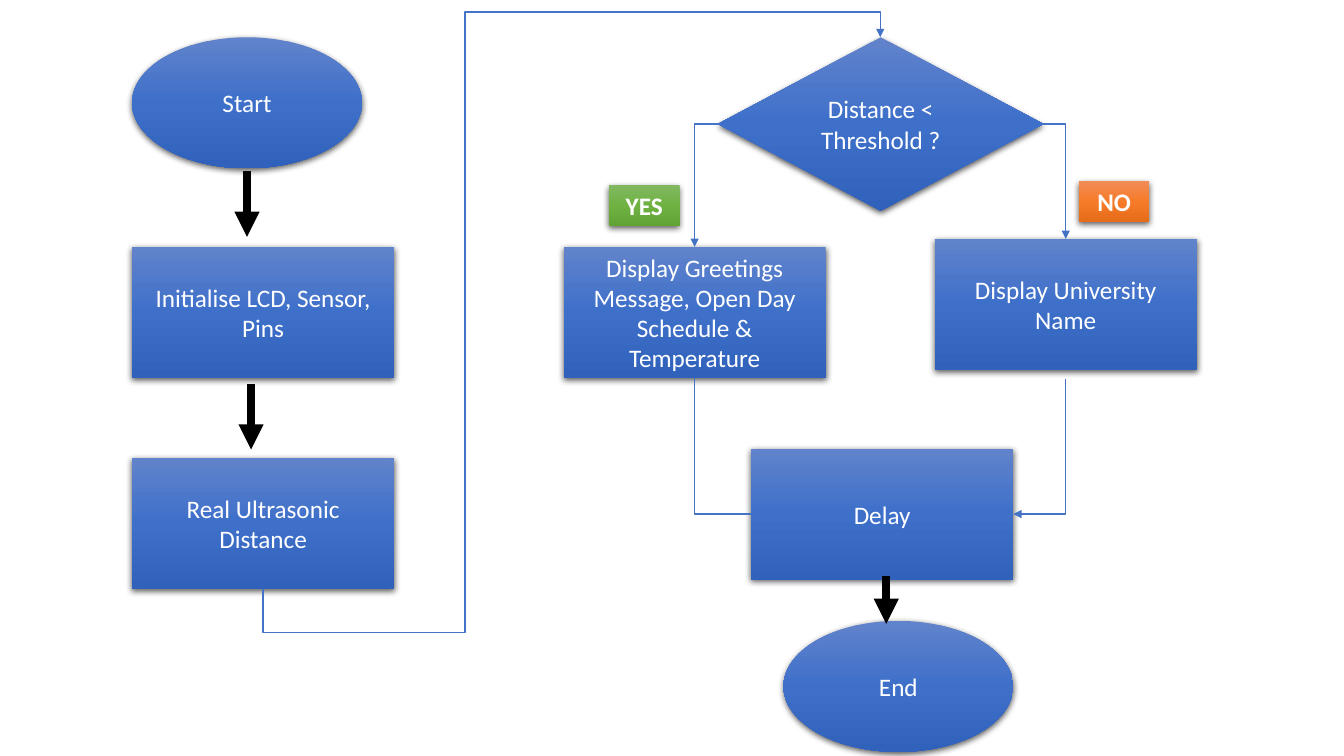
from lxml import etree
from pptx import Presentation
from pptx.dml.color import RGBColor
from pptx.enum.shapes import MSO_CONNECTOR, MSO_SHAPE
from pptx.enum.text import MSO_ANCHOR, MSO_AUTO_SIZE, PP_ALIGN
from pptx.oxml import parse_xml
from pptx.oxml.ns import nsdecls, qn
from pptx.util import Pt

OVAL = MSO_SHAPE.OVAL
STEP = MSO_SHAPE.FLOWCHART_PROCESS
TEST = MSO_SHAPE.FLOWCHART_DECISION
RECT = MSO_SHAPE.RECTANGLE
LINE = MSO_CONNECTOR.STRAIGHT
ELBOW = MSO_CONNECTOR.ELBOW

SCALE = 9144  # EMU in one px, 100 px to the inch
FONT = "Calibri"
WHITE, BLACK, WIRE = "FFFFFF", "000000", "4472C4"
BLUE = ("6183CB", "3E70CA", "3062BB")
GREEN = ("81B861", "6FB242", "62A336")
ORANGE = ("F18C57", "F67B28", "E56C19")
OVAL_SIZE = (228, 130)
STEP_SIZE = (260, 130)
TAG_SIZE = (70, 40)


def px(value):
    return round(value * SCALE)


def rgb(code):
    return RGBColor.from_string(code)


def shade(shape, tones):
    """Fill from top to bottom, with no outline and a soft shadow."""
    stops = "".join(
        f'<a:gs pos="{i * 50000}"><a:srgbClr val="{rgb(tone)}"/></a:gs>'
        for i, tone in enumerate(tones))
    props = shape.element.spPr
    props.append(parse_xml(
        f'<a:gradFill {nsdecls("a")} rotWithShape="1"><a:gsLst>{stops}</a:gsLst>'
        '<a:lin ang="5400000" scaled="0"/></a:gradFill>'))
    shape.line.fill.background()
    props.append(parse_xml(
        f'<a:effectLst {nsdecls("a")}><a:outerShdw blurRad="57150" '
        'dist="19050" dir="5400000" algn="ctr" rotWithShape="0">'
        f'<a:srgbClr val="{rgb(BLACK)}"><a:alpha val="63000"/></a:srgbClr>'
        '</a:outerShdw></a:effectLst>'))


def node(slide, kind, spot, size, text, tones=BLUE, bold=False):
    shape = slide.shapes.add_shape(kind, *map(px, spot + size))
    shade(shape, tones)
    frame = shape.text_frame
    frame.word_wrap = True
    frame.vertical_anchor = MSO_ANCHOR.MIDDLE
    frame.text = text
    para = frame.paragraphs[0]
    para.alignment = PP_ALIGN.CENTER
    font = para.runs[0].font
    font.name, font.size, font.bold = FONT, Pt(18), bold
    font.color.rgb = rgb(WHITE)
    return shape


def tag(slide, spot, text, tones):
    frame = node(slide, RECT, spot, TAG_SIZE, text, tones, True).text_frame
    frame.vertical_anchor = MSO_ANCHOR.TOP
    frame.auto_size = MSO_AUTO_SIZE.SHAPE_TO_FIT_TEXT


def link(slide, kind, start, end, color, width, arrow=True):
    wire = slide.shapes.add_connector(kind, *map(px, start + end))
    wire.line.color.rgb = rgb(color)
    wire.line.width = Pt(width)
    props = wire.element.spPr
    if arrow:
        etree.SubElement(props.find(qn("a:ln")), qn("a:tailEnd"), type="triangle")
    etree.SubElement(props, qn("a:effectLst"))
    return wire


def elbow(slide, start, end, down=False, arrow=True, bends=()):
    """Bent line; with down it leaves its start vertically."""
    if down:
        # A quarter turn about the middle brings these points to start and end
        (x1, y1), (x2, y2) = start, end
        mid_x, mid_y = (x1 + x2) / 2, (y1 + y2) / 2
        half_x, half_y = (x2 - x1) / 2, (y2 - y1) / 2
        start = (mid_x - half_y, mid_y + half_x)
        end = (mid_x + half_y, mid_y - half_x)
    wire = link(slide, ELBOW, start, end, WIRE, 1, arrow)
    props = wire.element.spPr
    if down:
        props.find(qn("a:xfrm")).set("rot", "5400000")
    shape = props.find(qn("a:prstGeom"))
    shape.set("prst", f"bentConnector{len(bends) + 2}")
    guides = shape.find(qn("a:avLst"))
    for i, bend in enumerate(bends, 1):
        etree.SubElement(guides, qn("a:gd"), name=f"adj{i}", fmla=f"val {bend}")


def main():
    deck = Presentation()
    deck.slide_width, deck.slide_height = px(1333), px(750)
    slide = deck.slides.add_slide(deck.slide_layouts[6])

    # Steps
    node(slide, OVAL, (131, 37), OVAL_SIZE, "Start")
    node(slide, TEST, (712, 37), (323, 172), "Distance < Threshold ?")
    for spot, text in (
        ((131, 245), "Initialise LCD, Sensor, Pins"),
        ((131, 454), "Real Ultrasonic Distance"),
        ((559, 245), "Display Greetings Message, Open Day Schedule & Temperature"),
        ((927, 237), "Display University Name"),
        ((745, 445), "Delay"),
    ):
        node(slide, STEP, spot, STEP_SIZE, text)
    node(slide, OVAL, (777, 616), OVAL_SIZE, "End")

    # Thick arrows
    for x, top, foot in ((245, 170, 235), (249, 381, 446), (879, 571, 619)):
        link(slide, LINE, (x, top), (x, foot), BLACK, 6)

    # Path into the test
    elbow(slide, (261, 584), (873, 37), down=True, bends=(-8000, 32700, 104600))

    # Branches out of the test and back to the delay
    elbow(slide, (712, 123), (689, 245))
    elbow(slide, (1034, 123), (1057, 237))
    elbow(slide, (689, 375), (745, 510), down=True, arrow=False)
    elbow(slide, (1057, 376), (1005, 510), down=True)

    # Answers
    tag(slide, (604, 184), "YES", GREEN)
    tag(slide, (1070, 180), "NO", ORANGE)

    deck.save("out.pptx")


if __name__ == "__main__":
    main()
